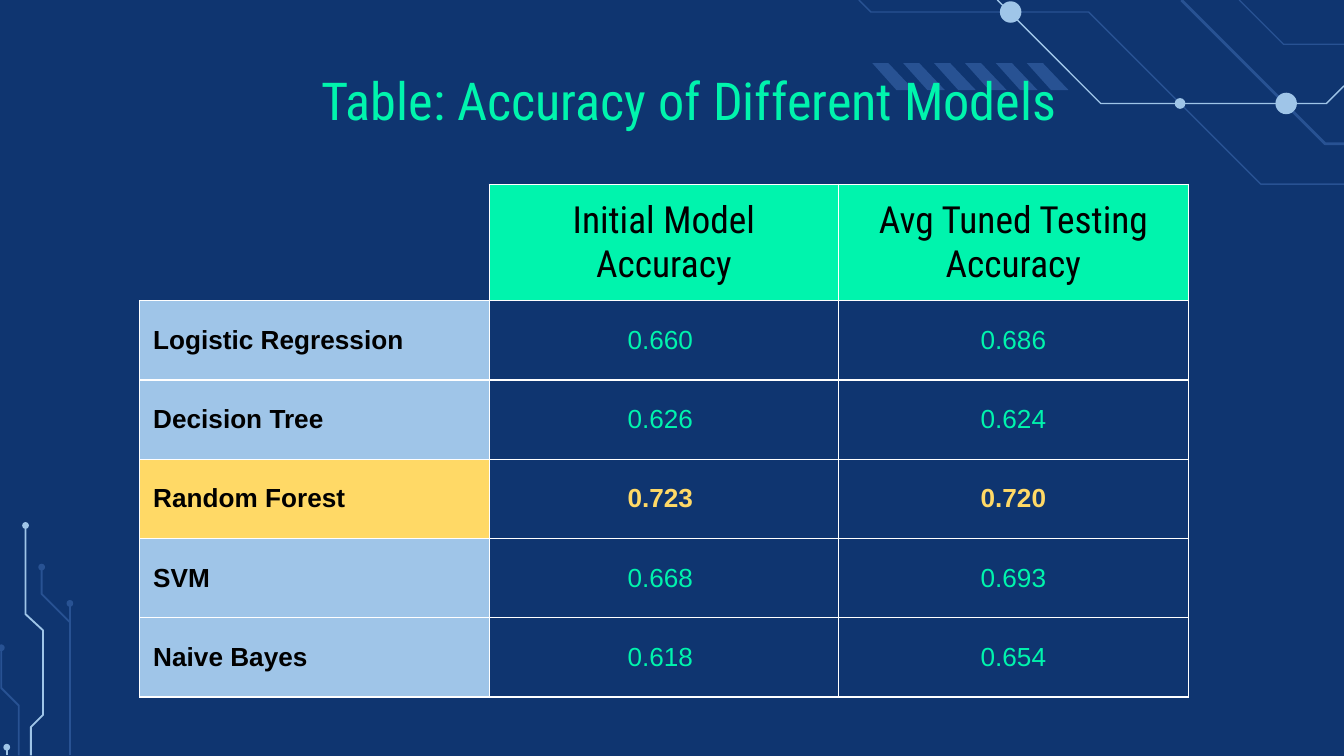
from dataclasses import dataclass

from lxml import etree
from pptx import Presentation
from pptx.dml.color import RGBColor
from pptx.enum.shapes import MSO_SHAPE
from pptx.enum.text import MSO_ANCHOR, PP_ALIGN
from pptx.oxml.ns import qn
from pptx.util import Inches, Pt

OVAL = MSO_SHAPE.OVAL
MIDDLE = MSO_ANCHOR.MIDDLE
CENTER = PP_ALIGN.CENTER
LEFT = PP_ALIGN.LEFT


@dataclass(frozen=True)
class Theme:
    navy: str = "0F3570"
    blue: str = "285293"
    sky: str = "9FC5E8"
    mint: str = "00F4AD"
    yellow: str = "FFD966"
    white: str = "FFFFFF"
    black: str = "000000"
    heading_font: str = "Roboto Condensed"
    body_font: str = "Arial"
    title_size: int = 28
    header_size: int = 20
    body_size: int = 14


theme = Theme()


def draw_path(shapes, points, color, line_width=None):
    corners = [(Inches(x), Inches(y)) for x, y in points]
    builder = shapes.build_freeform(*corners[0])
    builder.add_line_segments(corners[1:], close=line_width is None)
    shape = builder.convert_to_shape()
    shape.shadow.inherit = False
    if line_width is None:
        shape.fill.solid()
        shape.fill.fore_color.rgb = RGBColor.from_string(color)
        shape.line.fill.background()
    else:
        shape.fill.background()
        shape.line.color.rgb = RGBColor.from_string(color)
        shape.line.width = Pt(line_width)


def style_paragraph(paragraph, text, font_name, size, color, bold, alignment):
    paragraph.text = text
    paragraph.alignment = alignment
    paragraph.font.name = font_name
    paragraph.font.size = Pt(size)
    paragraph.font.bold = bold
    paragraph.font.color.rgb = RGBColor.from_string(color)


presentation = Presentation()
presentation.slide_width = Inches(10)
presentation.slide_height = Inches(10 * 9 / 16)
slide = presentation.slides.add_slide(presentation.slide_layouts[6])
slide.background.fill.solid()
slide.background.fill.fore_color.rgb = RGBColor.from_string(theme.navy)

traces = [
    (theme.blue, 1.5, [(8.79, 0), (9.86, 1.07), (10, 1.07)]),
    (theme.sky, 0.75, [(7.42, 0), (8.19, 0.77), (9.87, 0.77), (10, 0.64)]),
    (theme.blue, 0.75, [(6.39, 0), (6.48, 0.09), (8.1, 0.09), (9.38, 1.37), (10, 1.37)]),
    (theme.blue, 0.75, [(9.22, 0), (9.55, 0.33), (10, 0.33)]),
    (theme.sky, 1, [(0.23, 5.62), (0.23, 5.41), (0.32, 5.32), (0.32, 4.69), (0.19, 4.57), (0.19, 3.91)]),
    (theme.blue, 1, [(0.52, 5.62), (0.52, 4.49)]),
    (theme.blue, 1, [(0.52, 4.63), (0.31, 4.42), (0.31, 4.22)]),
    (theme.blue, 1, [(0.14, 5.62), (0.14, 5.25), (0.01, 5.12), (0.01, 4.82)]),
    (theme.sky, 1, [(0.05, 5.62), (0.05, 5.56)]),
]
for color, line_width, points in traces:
    draw_path(slide.shapes, points, color, line_width)

nodes = [
    (8.78, 0.77, 0.08, theme.sky),
    (7.52, 0.09, 0.16, theme.sky),
    (9.57, 0.77, 0.16, theme.sky),
    (0.19, 3.91, 0.05, theme.sky),
    (0.52, 4.49, 0.05, theme.blue),
    (0.31, 4.22, 0.05, theme.blue),
    (0.01, 4.82, 0.05, theme.blue),
    (0.05, 5.56, 0.05, theme.sky),
]
for x, y, diameter, color in nodes:
    node = slide.shapes.add_shape(
        OVAL, Inches(x - diameter / 2), Inches(y - diameter / 2), Inches(diameter), Inches(diameter)
    )
    node.shadow.inherit = False
    node.fill.solid()
    node.fill.fore_color.rgb = RGBColor.from_string(color)
    node.line.fill.background()

for index in range(6):
    left = 6.49 + 0.23 * index
    stripe = [(left, 0.47), (left + 0.18, 0.67), (left + 0.31, 0.67), (left + 0.12, 0.47)]
    draw_path(slide.shapes, stripe, theme.blue)

title = slide.shapes.add_textbox(Inches(0.58), Inches(0.51), Inches(9.09), Inches(0.61))
title_frame = title.text_frame
title_frame.word_wrap = True
title_frame.margin_left = title_frame.margin_right = 0
title_frame.margin_top = title_frame.margin_bottom = 0
style_paragraph(
    title_frame.paragraphs[0], "Table: Accuracy of Different Models",
    theme.heading_font, theme.title_size, theme.mint, False, CENTER,
)

accuracy_rows = [
    ("", "Initial Model Accuracy", "Avg Tuned Testing Accuracy"),
    ("Logistic Regression", "0.660 ", "0.686"),
    ("Decision Tree", "0.626 ", "0.624"),
    ("Random Forest", "0.723 ", "0.720"),
    ("SVM", "0.668 ", "0.693"),
    ("Naive Bayes", "0.618 ", "0.654"),
]
best_model = "Random Forest"
row_height, column_width = 0.59, 2.6
table = slide.shapes.add_table(
    len(accuracy_rows), 3, Inches(1.04), Inches(1.37),
    Inches(3 * column_width), Inches(len(accuracy_rows) * row_height),
).table
table.first_row = False
table.horz_banding = False

for row_index, values in enumerate(accuracy_rows):
    is_header = row_index == 0
    is_best = values[0] == best_model
    for column_index, value in enumerate(values):
        is_label = column_index == 0
        is_corner = is_header and is_label
        cell = table.cell(row_index, column_index)
        cell.vertical_anchor = MIDDLE
        cell.margin_left = cell.margin_right = Inches(0.1)
        cell.margin_top = cell.margin_bottom = Inches(0.1)

        properties = cell._tc.get_or_add_tcPr()
        for side in "LRTB":
            border = etree.SubElement(properties, qn(f"a:ln{side}"), w=str(Pt(0.75)))
            if is_corner and side in "LT":
                etree.SubElement(border, qn("a:noFill"))
            else:
                border_fill = etree.SubElement(border, qn("a:solidFill"))
                etree.SubElement(border_fill, qn("a:srgbClr"), val=theme.white)

        if is_corner:
            cell.fill.background()
            continue
        if is_header:
            fill_color, text_color = theme.mint, theme.black
        elif is_label:
            fill_color, text_color = theme.yellow if is_best else theme.sky, theme.black
        else:
            fill_color, text_color = None, theme.yellow if is_best else theme.mint
        if fill_color:
            cell.fill.solid()
            cell.fill.fore_color.rgb = RGBColor.from_string(fill_color)
        else:
            cell.fill.background()
        style_paragraph(
            cell.text_frame.paragraphs[0], value,
            theme.heading_font if is_header else theme.body_font,
            theme.header_size if is_header else theme.body_size,
            text_color, not is_header and (is_label or is_best), LEFT if is_label else CENTER,
        )

presentation.save("out.pptx")
